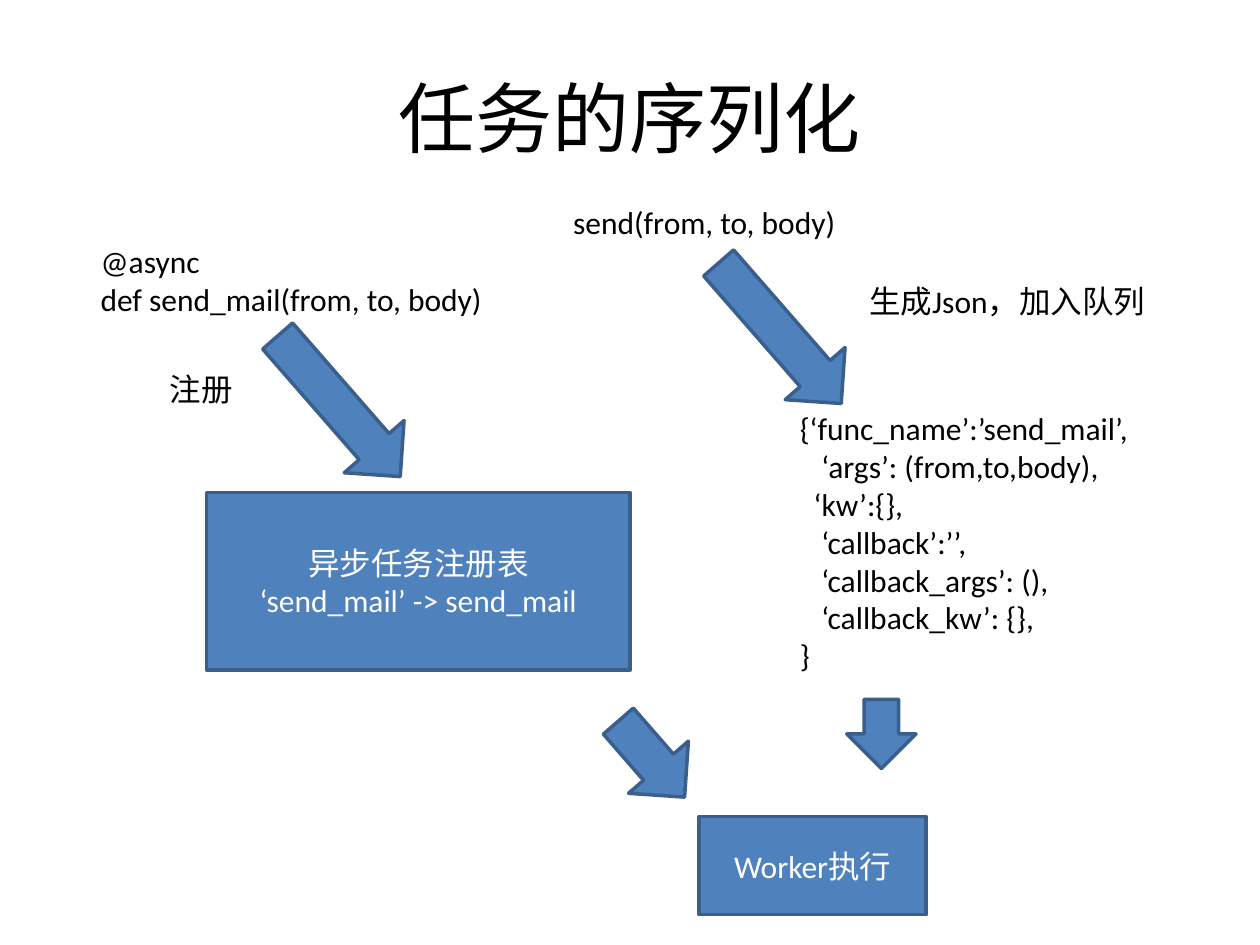
from dataclasses import dataclass

from pptx import Presentation
from pptx.dml.color import RGBColor
from pptx.enum.shapes import MSO_SHAPE
from pptx.enum.text import MSO_ANCHOR, PP_ALIGN
from pptx.util import Emu, Pt

RECTANGLE = MSO_SHAPE.RECTANGLE
RIGHT_ARROW = MSO_SHAPE.RIGHT_ARROW
DOWN_ARROW = MSO_SHAPE.DOWN_ARROW
LEFT, CENTER = PP_ALIGN.LEFT, PP_ALIGN.CENTER
TOP, MIDDLE = MSO_ANCHOR.TOP, MSO_ANCHOR.MIDDLE

EMU_PER_PX = 9144  # 100 px to the inch
TITLE_ONLY = 5


@dataclass(frozen=True)
class Theme:
    font: str = "Calibri"
    title_size: int = 44
    body_size: int = 18
    ink: str = "000000"
    light: str = "FFFFFF"
    fill: str = "4F81BD"
    outline: str = "3A5F8C"
    outline_width: int = 2
    slant: float = 48.9


def px(*lengths):
    return [Emu(length * EMU_PER_PX) for length in lengths]


class SlideBuilder:
    def __init__(self, page, theme):
        self.page = page
        self.theme = theme

    def set_text(self, shape, lines, size, color, align, anchor, wrap=True):
        """Fill a shape with lines, each a text or a (text, indent px) pair."""
        frame = shape.text_frame
        frame.word_wrap = wrap
        frame.vertical_anchor = anchor
        for index, line in enumerate(lines):
            text, indent = line if isinstance(line, tuple) else (line, 0)
            para = frame.paragraphs[0] if index == 0 else frame.add_paragraph()
            para.alignment = align
            if indent:
                para._p.get_or_add_pPr().set("marL", str(indent * EMU_PER_PX))
            span = para.add_run()
            span.text = text
            formats = {"name": self.theme.font, "size": Pt(size)}
            for name, value in formats.items():
                setattr(span.font, name, value)
            span.font.color.rgb = RGBColor.from_string(color)

    def title(self, text, *bounds):
        title = self.page.shapes.title
        for name, value in zip(("left", "top", "width", "height"), px(*bounds)):
            setattr(title, name, value)
        self.set_text(title, [text], self.theme.title_size, self.theme.ink,
                      CENTER, MIDDLE)

    def label(self, lines, *bounds, wrap=False):
        box = self.page.shapes.add_textbox(*px(*bounds))
        self.set_text(box, lines, self.theme.body_size, self.theme.ink,
                      LEFT, TOP, wrap)

    def block(self, kind, *bounds):
        shape = self.page.shapes.add_shape(kind, *px(*bounds))
        shape.shadow.inherit = False
        shape.fill.solid()
        shape.fill.fore_color.rgb = RGBColor.from_string(self.theme.fill)
        shape.line.color.rgb = RGBColor.from_string(self.theme.outline)
        shape.line.width = Pt(self.theme.outline_width)
        return shape

    def step(self, lines, *bounds):
        self.set_text(self.block(RECTANGLE, *bounds), lines,
                      self.theme.body_size, self.theme.light, CENTER, MIDDLE)

    def slanted_arrow(self, *bounds):
        self.block(RIGHT_ARROW, *bounds).rotation = self.theme.slant

    def down_arrow(self, *bounds):
        self.block(DOWN_ARROW, *bounds)


def main():
    deck = Presentation()
    deck.slide_width, deck.slide_height = px(1000, 750)
    page = deck.slides.add_slide(deck.slide_layouts[TITLE_ONLY])
    slide = SlideBuilder(page, Theme())

    slide.title("任务的序列化", 50, 30, 900, 125)

    # Registration of the task
    slide.label(["@async", "def send_mail(from, to, body)"], 70, 187, 327, 71)
    slide.label(["注册"], 125, 289, 71, 40)
    slide.slanted_arrow(195, 291, 148, 63)
    slide.step(["异步任务注册表", "‘send_mail’ -> send_mail"], 164, 391, 336, 141)

    # Call turned into a queued message
    slide.label(["send(from, to, body)"], 445, 156, 231, 40)
    slide.slanted_arrow(545, 233, 148, 63)
    slide.label(["生成Json，加入队列"], 680, 219, 241, 40, wrap=True)
    message = [
        "{‘func_name’:’send_mail’,",
        ("‘args’: (from,to,body),", 17),
        ("‘kw’:{},", 11),
        ("‘callback’:’’,", 17),
        ("‘callback_args’: (),", 17),
        ("‘callback_kw’: {},", 17),
        "}",
    ]
    slide.label(message, 625, 320, 284, 222)

    # Execution
    slide.slanted_arrow(477, 571, 80, 63)
    slide.down_arrow(672, 555, 55, 55)
    slide.step(["Worker执行"], 555, 648, 180, 78)

    deck.save("out.pptx")


if __name__ == "__main__":
    main()
